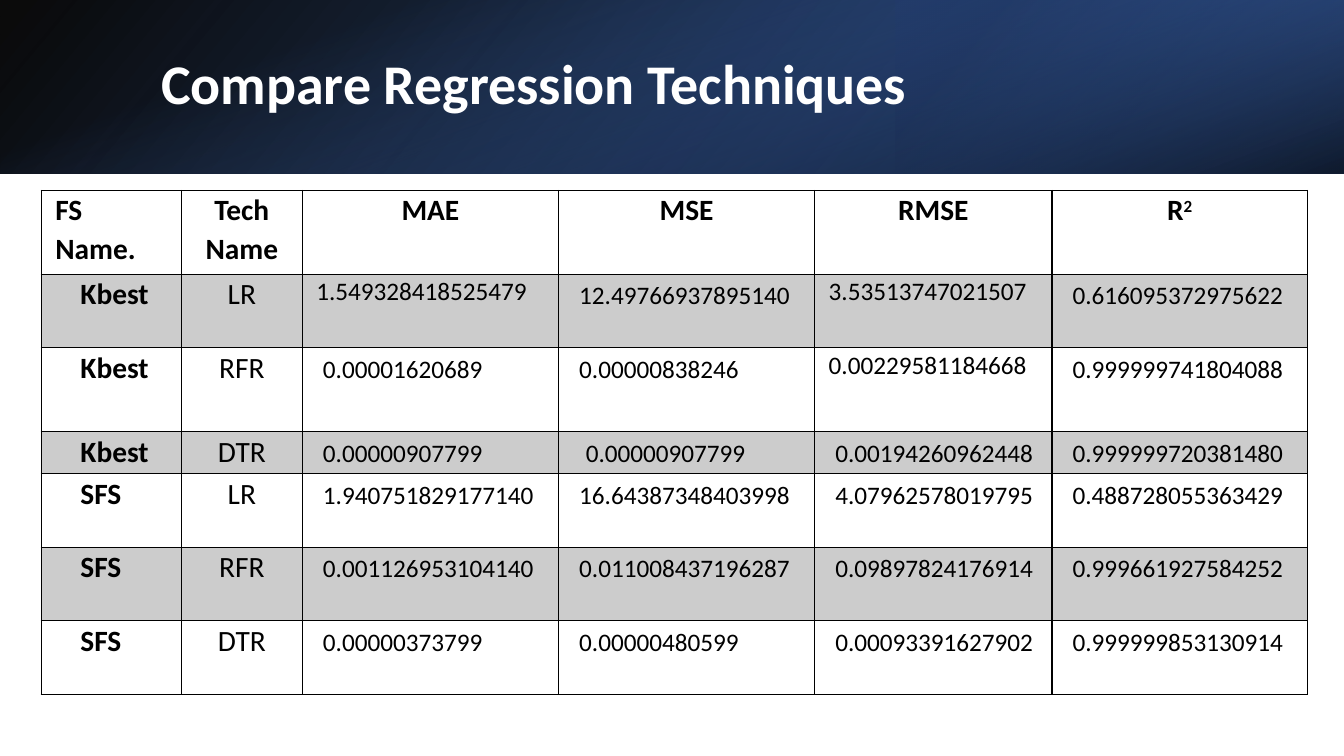
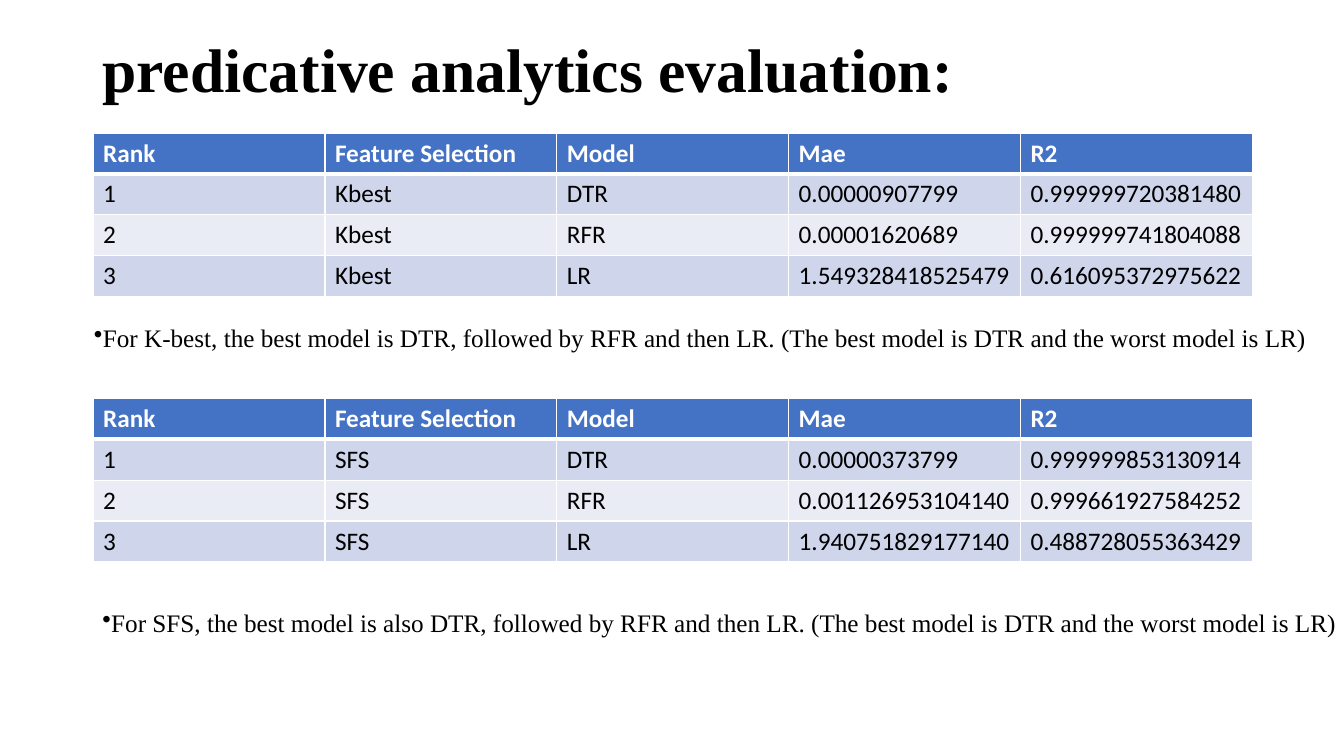
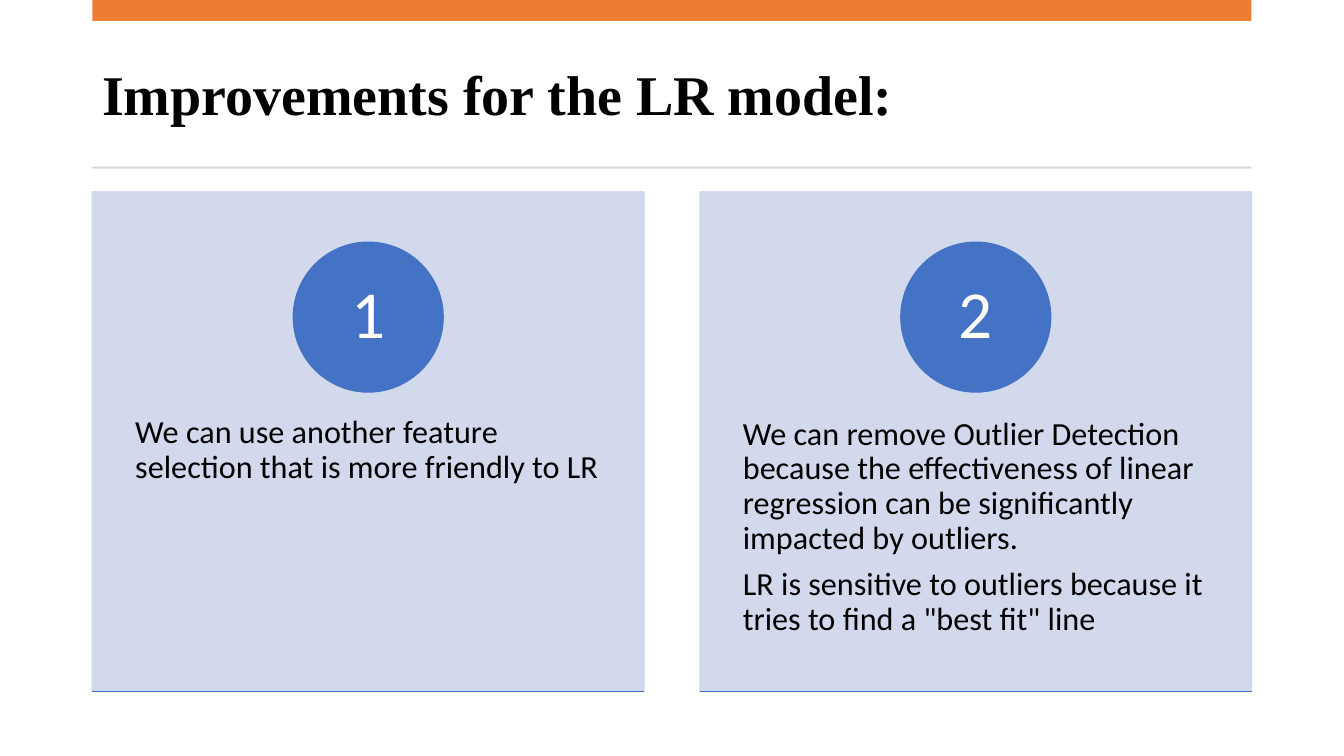
from pptx import Presentation
from pptx.dml.color import RGBColor as RGB
from pptx.enum.shapes import MSO_CONNECTOR as LINE, MSO_SHAPE as SHAPE
from pptx.enum.text import MSO_ANCHOR as ANCHOR, PP_ALIGN as ALIGN
from pptx.oxml import parse_xml
from pptx.oxml.ns import nsdecls, qn
from pptx.oxml.xmlchemy import OxmlElement
from pptx.util import Pt

BLACK = RGB(0x00, 0x00, 0x00)
WHITE = RGB(0xFF, 0xFF, 0xFF)
GREY = RGB(0xCC, 0xCC, 0xCC)
RULE = RGB(0xD5, 0xD5, 0xD5)
ORANGE = RGB(0xED, 0x7D, 0x31)
BLUE = RGB(0x44, 0x72, 0xC4)
DEEP_BLUE = RGB(0x2F, 0x55, 0x97)
NAVY = RGB(0x20, 0x38, 0x64)
LAVENDER = RGB(0xCF, 0xD5, 0xEA)
PALE = RGB(0xE9, 0xEB, 0xF5)

SANS = "Calibri"
SERIF = "Times New Roman"
WIDTH, HEIGHT = 960, 540
MARGIN = 66
CONTENT = 828


def assign(target, values):
    for name, value in values.items():
        setattr(target, name, value)


class Deck:
    def __init__(self):
        self.presentation = Presentation()
        assign(self.presentation, {"slide_width": Pt(WIDTH), "slide_height": Pt(HEIGHT)})
        self.slide = None

    def new_slide(self):
        self.slide = self.presentation.slides.add_slide(self.presentation.slide_layouts[6])

    def fill_text(self, frame, paragraphs, size, color=BLACK, font=SANS, bold=False,
                  bullet=None, insets=(7.2, 3.6, 7.2, 3.6), anchor=ANCHOR.TOP, **spacing):
        left, top, right, bottom = map(Pt, insets)
        assign(frame, {"word_wrap": True, "vertical_anchor": anchor,
                       "margin_left": left, "margin_top": top,
                       "margin_right": right, "margin_bottom": bottom})
        for index, text in enumerate(paragraphs):
            paragraph = frame.paragraphs[0] if index == 0 else frame.add_paragraph()
            if bullet:
                mark = OxmlElement("a:buChar")
                mark.set("char", bullet)
                paragraph._p.get_or_add_pPr().append(mark)
            assign(paragraph, spacing)
            base, _, raised = text.partition("^")
            for part, baseline in ((base, None), (raised, "30000")):
                if part:
                    run = paragraph.add_run()
                    run.text = part
                    assign(run.font, {"name": font, "size": Pt(size), "bold": bold})
                    run.font.color.rgb = color
                    if baseline:
                        run.font._rPr.set("baseline", baseline)

    def text(self, left, top, width, height, paragraphs, size, **style):
        box = self.slide.shapes.add_textbox(Pt(left), Pt(top), Pt(width), Pt(height))
        self.fill_text(box.text_frame, paragraphs, size, **style)

    def title(self, left, top, width, height, text, size, **style):
        self.text(left, top, width, height, [text], size, bold=True,
                  anchor=ANCHOR.MIDDLE, line_spacing=0.9, **style)

    def shape(self, kind, left, top, width, height, color, outline=False, alpha=None):
        item = self.slide.shapes.add_shape(kind, Pt(left), Pt(top), Pt(width), Pt(height))
        item.shadow.inherit = False
        item.fill.solid()
        item.fill.fore_color.rgb = color
        if outline:
            item.line.color.rgb = color
            item.line.width = Pt(1)
        else:
            item.line.fill.background()
        if alpha:
            for paint in item._element.spPr.iter(qn("a:srgbClr")):
                opacity = OxmlElement("a:alpha")
                opacity.set("val", str(alpha * 1000))
                paint.append(opacity)
        return item

    def gradient(self, left, top, width, height, stops, angle, rotation=0, flip=False):
        band = self.shape(SHAPE.RECTANGLE, left, top, width, height, BLACK)
        band.rotation = rotation
        properties = band._element.spPr
        if flip:
            properties.find(qn("a:xfrm")).set("flipH", "1")
        steps = "".join(
            f'<a:gs pos="{place * 1000}"><a:srgbClr val="{color}">'
            f'<a:alpha val="{alpha * 1000}"/></a:srgbClr></a:gs>'
            for place, color, alpha in stops)
        properties.replace(properties.find(qn("a:solidFill")), parse_xml(
            f'<a:gradFill {nsdecls("a")} rotWithShape="1"><a:gsLst>{steps}</a:gsLst>'
            f'<a:lin ang="{angle * 60000}" scaled="0"/></a:gradFill>'))

    def line(self, left, top, width, color):
        stroke = self.slide.shapes.add_connector(
            LINE.STRAIGHT, Pt(left), Pt(top), Pt(left + width), Pt(top))
        stroke.line.color.rgb = color
        stroke.line.width = Pt(1)
        stroke._element.spPr.append(OxmlElement("a:effectLst"))

    def table(self, left, top, widths, heights):
        grid = self.slide.shapes.add_table(
            len(heights), len(widths), Pt(left), Pt(top),
            Pt(sum(widths)), Pt(sum(heights))).table
        assign(grid, {"first_row": False, "horz_banding": False})
        for column, width in zip(grid.columns, widths):
            column.width = Pt(width)
        for row, height in zip(grid.rows, heights):
            row.height = Pt(height)
        return grid

    def cell(self, cell, text, size, fill, border, edges=(1, 1, 1, 1),
             insets=(7.2, 3.6, 7.2, 3.6), **style):
        self.fill_text(cell.text_frame, [text], size, **style)
        sides = ("margin_left", "margin_top", "margin_right", "margin_bottom")
        assign(cell, dict(zip(sides, map(Pt, insets))))
        cell.vertical_anchor = ANCHOR.TOP
        cell.fill.solid()
        cell.fill.fore_color.rgb = fill
        properties = cell._tc.get_or_add_tcPr()
        for index, (side, weight) in enumerate(zip("LRTB", edges)):
            properties.insert(index, parse_xml(
                f'<a:ln{side} {nsdecls("a")} w="{Pt(weight)}"><a:solidFill>'
                f'<a:srgbClr val="{border}"/></a:solidFill></a:ln{side}>'))


def comparison_slide(deck):
    deck.new_slide()
    band = 124
    deck.gradient(0, 0, WIDTH, band, [(0, BLACK, 96), (100, DEEP_BLUE, 100)], 140, flip=True)
    deck.gradient(640, 0, 320, band, [(19, NAVY, 68), (100, BLUE, 79)], 320, 180, True)
    offset = (WIDTH - band) / 2
    deck.gradient(offset, -offset, band, WIDTH, [(23, BLUE, 0), (99, BLACK, 74)], 340, 90)
    deck.title(108, 27, 790, 69, "Compare Regression Techniques", 40, color=WHITE)

    headers = ["FS Name.", "Tech Name", "MAE", "MSE", "RMSE", "R^2"]
    results = [
        ("Kbest", "LR", "1.549328418525479", "12.49766937895140", "3.53513747021507", "0.616095372975622"),
        ("Kbest", "RFR", "0.00001620689", "0.00000838246", "0.00229581184668", "0.999999741804088"),
        ("Kbest", "DTR", "0.00000907799", "0.00000907799", "0.00194260962448", "0.999999720381480"),
        ("SFS", "LR", "1.940751829177140", "16.64387348403998", "4.07962578019795", "0.488728055363429"),
        ("SFS", "RFR", "0.001126953104140", "0.011008437196287", "0.09897824176914", "0.999661927584252"),
        ("SFS", "DTR", "0.00000373799", "0.00000480599", "0.00093391627902", "0.999999853130914"),
    ]
    nudges = {(1, 2): 0, (1, 4): 0, (2, 4): 0, (3, 3): 2}
    grid = deck.table(29.5, 136, [100, 86.5, 183, 183, 169.5, 182.5],
                      [60, 52.5, 60, 30, 52.5, 52.5, 52.5])
    for row, values in enumerate([headers] + results):
        for column, value in enumerate(values):
            left, top = 10, 0
            if row and column == 0:
                left += 18
            elif row and column > 1:
                nudge = nudges.get((row, column), 1)
                left += 4.75 * nudge
                top = 3 if nudge else 0
            centred = column == 1 or (row == 0 and column)
            deck.cell(grid.cell(row, column), value, 18 if row and column > 1 else 21,
                      GREY if row in (1, 3, 5) else WHITE, BLACK,
                      insets=(left, top, 10, 0), bold=row == 0 or column == 0,
                      alignment=ALIGN.CENTER if centred else ALIGN.LEFT, line_spacing=1.07)


def ranking(deck, top, selection, scores):
    rows = [("Rank", "Feature Selection", "Model", "Mae", "R2")]
    rows += [(str(rank), selection, *score) for rank, score in enumerate(scores, 1)]
    grid = deck.table(MARGIN + 0.5, top, [CONTENT / 5] * 5, [29.25] * len(rows))
    for row, values in enumerate(rows):
        header = row == 0
        fill = BLUE if header else LAVENDER if row % 2 else PALE
        edges = (1, 1, 3 if row == 1 else 1, 3 if header else 1)
        for column, value in enumerate(values):
            deck.cell(grid.cell(row, column), value, 18, fill, WHITE, edges,
                      color=WHITE if header else BLACK, bold=header)


def evaluation_slide(deck):
    deck.new_slide()
    deck.title(MARGIN, 13, CONTENT, 78, "predicative analytics evaluation:", 44, font=SERIF)
    ranking(deck, 95, "Kbest", [
        ("DTR", "0.00000907799", "0.999999720381480"),
        ("RFR", "0.00001620689", "0.999999741804088"),
        ("LR", "1.549328418525479", "0.616095372975622")])
    ranking(deck, 284.5, "SFS", [
        ("DTR", "0.00000373799", "0.999999853130914"),
        ("RFR", "0.001126953104140", "0.999661927584252"),
        ("LR", "1.940751829177140", "0.488728055363429")])
    findings = [
        (60, 227, "For K-best, the best model is DTR, followed by RFR and then LR. "
                  "(The best model is DTR and the worst model is LR)"),
        (MARGIN, 430.5, "For SFS, the best model is also DTR, followed by RFR and then LR. "
                        "(The best model is DTR and the worst model is LR)"),
    ]
    for left, top, finding in findings:
        deck.text(left, top, WIDTH - left, 29, [finding], 18, font=SERIF,
                  bullet="•", insets=(7.2, 3.6, 0, 3.6))


def improvements_slide(deck):
    deck.new_slide()
    deck.title(MARGIN, 27, CONTENT, 85, "Improvements for the LR model:", 40, font=SERIF)
    deck.shape(SHAPE.RECTANGLE, MARGIN, 0, CONTENT, 15, ORANGE)
    deck.shape(SHAPE.RECTANGLE, MARGIN, 119, CONTENT, 1.5, RULE)
    improvements = [
        ["We can use another feature selection that is more friendly to LR"],
        ["We can remove Outlier Detection because the effectiveness of linear "
         "regression can be significantly impacted by outliers.",
         'LR is sensitive to outliers because it tries to find a "best fit" line'],
    ]
    card, badge, top, height = 394, 107, 137, 357
    step = CONTENT - card
    for index, advice in enumerate(improvements):
        left = MARGIN + index * step
        deck.shape(SHAPE.RECTANGLE, left, top, card, height, LAVENDER, True, 90)
        deck.text(left, 272, card, 214, advice, 23, insets=(30.6, 26, 30, 26),
                  line_spacing=0.9, space_after=Pt(8))
        number = deck.shape(SHAPE.OVAL, left + (card - badge) / 2, 173, badge, badge, BLUE, True)
        deck.fill_text(number.text_frame, [str(index + 1)], 48, WHITE, insets=(0, 0, 0, 0),
                       anchor=ANCHOR.MIDDLE, alignment=ALIGN.CENTER, line_spacing=0.9)
        deck.line(left, top + height, card, BLUE)


def main():
    deck = Deck()
    comparison_slide(deck)
    evaluation_slide(deck)
    improvements_slide(deck)
    deck.presentation.save("out.pptx")


if __name__ == "__main__":
    main()
